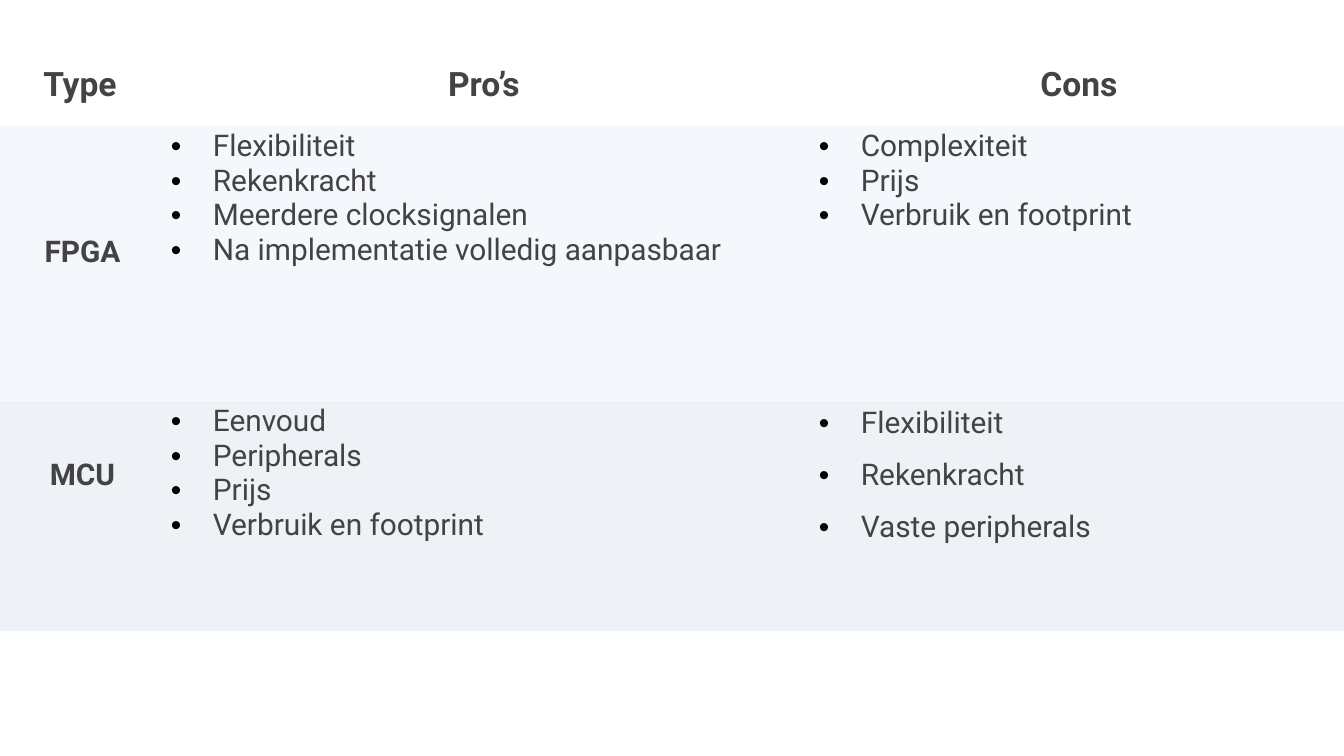
import dataclasses

import lxml.etree
import pptx
import pptx.dml.color
import pptx.enum.text
import pptx.oxml.ns
import pptx.util

EMU_PER_PX = 914400 / 134.4
NO_STYLE_TABLE = "{2D5ABB26-0587-4C30-8999-92F81FD0307C}"
CENTER = pptx.enum.text.PP_ALIGN.CENTER
LEFT = pptx.enum.text.PP_ALIGN.LEFT
TOP = pptx.enum.text.MSO_ANCHOR.TOP
BOTTOM = pptx.enum.text.MSO_ANCHOR.BOTTOM


@dataclasses.dataclass(frozen=True)
class Theme:
    font: str = "Roboto"
    text: str = "434343"
    bullet: str = "000000"
    fpga_fill: str = "CCDAF3"
    mcu_fill: str = "EEF1F6"
    header_size: int = 18
    body_size: int = 16
    loose_spacing: float = 1.07
    loose_after: int = 8


def px(length):
    return pptx.util.Emu(round(length * EMU_PER_PX))


def add_xml(parent, tag, **attributes):
    return lxml.etree.SubElement(parent, pptx.oxml.ns.qn(tag), **attributes)


class SlideBuilder:
    def __init__(self, slide, theme):
        self.slide = slide
        self.theme = theme

    def table(self, left, top, columns, rows):
        """Add a table without style whose columns and rows have the given px sizes."""
        frame = self.slide.shapes.add_table(
            len(rows), len(columns), px(left), px(top), px(sum(columns)), px(sum(rows)))
        table = frame.table
        table.first_row = table.horz_banding = False
        properties = table._tbl.tblPr
        properties.find(pptx.oxml.ns.qn("a:tableStyleId")).text = NO_STYLE_TABLE
        for column, width in zip(table.columns, columns):
            column.width = px(width)
        for row, height in zip(table.rows, rows):
            row.height = px(height)
        return table

    def fill(self, cell, color, opacity=100):
        cell.fill.solid()
        cell.fill.fore_color.rgb = pptx.dml.color.RGBColor.from_string(color)
        if opacity < 100:
            color_element = cell._tc.tcPr.find(".//" + pptx.oxml.ns.qn("a:srgbClr"))
            add_xml(color_element, "a:alpha", val=str(opacity * 1000))

    def text(self, cell, lines, size, bold=False, align=LEFT, anchor=TOP,
             loose=False, bulleted=False, margin_left=11, margin_top=3):
        cell.margin_left, cell.margin_right = px(margin_left), px(11)
        cell.margin_top, cell.margin_bottom = px(margin_top), px(21)
        cell.vertical_anchor = anchor
        cell.text_frame.text = "\n".join(lines)
        for paragraph in cell.text_frame.paragraphs:
            if bulleted:
                self.bullet(paragraph)
            paragraph.alignment = align
            if loose:
                paragraph.line_spacing = self.theme.loose_spacing
                paragraph.space_after = pptx.util.Pt(self.theme.loose_after)
            for run in paragraph.runs:
                run.font.name = self.theme.font
                run.font.size = pptx.util.Pt(size)
                run.font.bold = bold
                run.font.color.rgb = pptx.dml.color.RGBColor.from_string(self.theme.text)

    def bullet(self, paragraph):
        properties = paragraph._p.get_or_add_pPr()
        properties.set("marL", str(px(42)))
        properties.set("indent", str(-px(42)))
        add_xml(add_xml(properties, "a:buClr"), "a:srgbClr", val=self.theme.bullet)
        add_xml(properties, "a:buFont", typeface="Arial")
        add_xml(properties, "a:buChar", char="•")

    def header(self, cell, label):
        self.fill_none(cell)
        self.text(cell, [label], self.theme.header_size, bold=True,
                  align=CENTER, anchor=BOTTOM, loose=True)

    def fill_none(self, cell):
        cell.fill.background()

    def row_label(self, cell, label, margin_top):
        self.text(cell, [label], self.theme.body_size, bold=True, align=CENTER,
                  loose=True, margin_left=16, margin_top=margin_top)

    def bullet_list(self, cell, lines, loose=False):
        self.text(cell, lines, self.theme.body_size, loose=loose, bulleted=True)


def main():
    presentation = pptx.Presentation()
    presentation.slide_width, presentation.slide_height = px(1344), px(756)
    slide = presentation.slides.add_slide(presentation.slide_layouts[6])
    theme = Theme()
    builder = SlideBuilder(slide, theme)

    table = builder.table(0, 50, columns=[160, 648, 542], rows=[76, 275, 230])
    for column, label in enumerate(["Type", "Pro’s", "Cons"]):
        builder.header(table.cell(0, column), label)

    comparison = [
        ("FPGA", 107, theme.fpga_fill, 20, False,
         ["Flexibiliteit", "Rekenkracht", "Meerdere clocksignalen",
          "Na implementatie volledig aanpasbaar"],
         ["Complexiteit", "Prijs", "Verbruik en footprint"]),
        ("MCU", 55, theme.mcu_fill, 100, True,
         ["Eenvoud", "Peripherals", "Prijs", "Verbruik en footprint"],
         ["Flexibiliteit", "Rekenkracht", "Vaste peripherals"]),
    ]
    for row, (label, label_top, color, opacity, loose_cons, pros, cons) in enumerate(comparison, 1):
        for column in range(3):
            builder.fill(table.cell(row, column), color, opacity)
        builder.row_label(table.cell(row, 0), label, label_top)
        builder.bullet_list(table.cell(row, 1), pros)
        builder.bullet_list(table.cell(row, 2), cons, loose=loose_cons)

    presentation.save("out.pptx")


if __name__ == "__main__":
    main()
